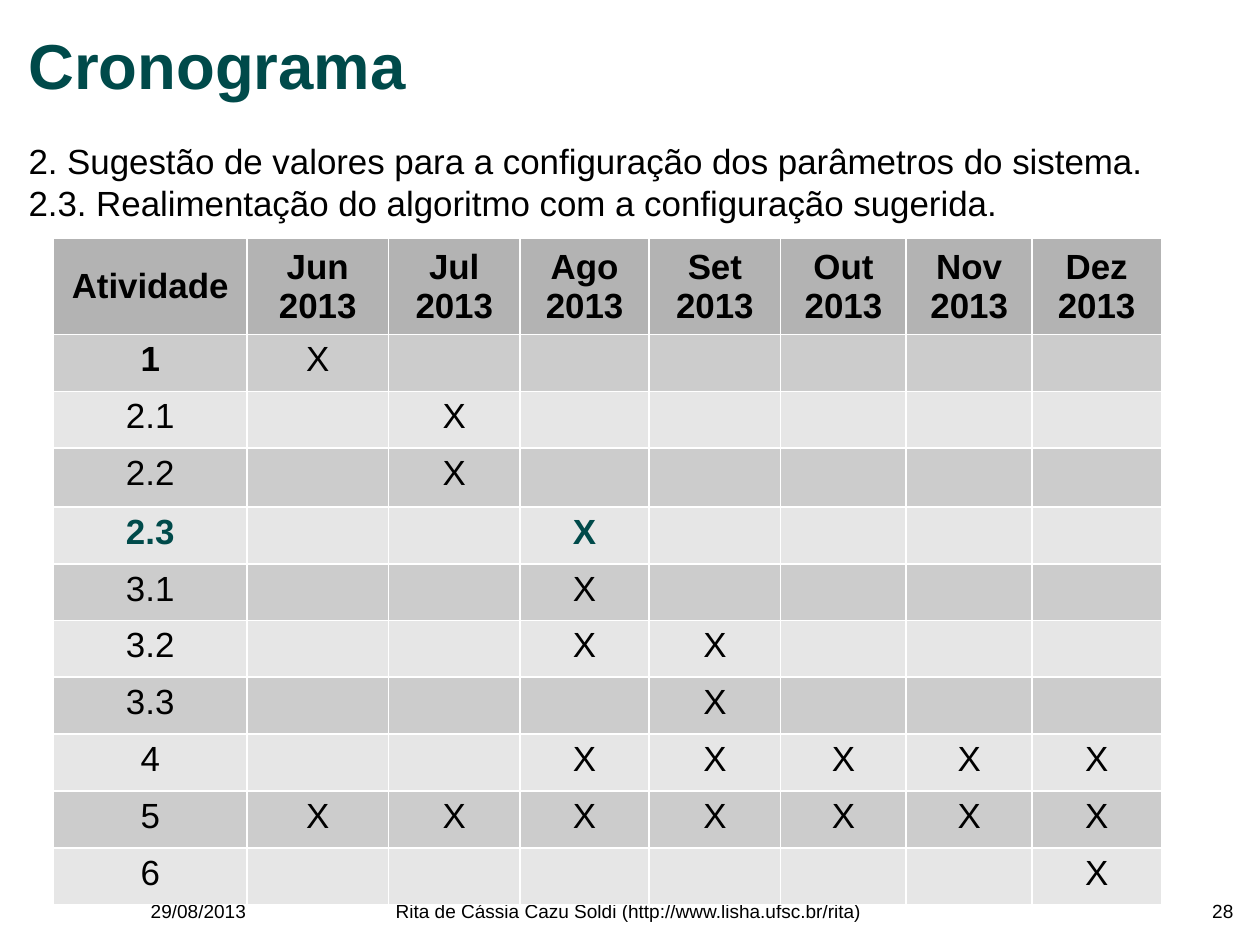
from lxml.etree import SubElement
from pptx import Presentation
from pptx.dml.color import RGBColor
from pptx.enum.text import MSO_ANCHOR, PP_ALIGN
from pptx.oxml.ns import qn
from pptx.util import Pt

BLACK = RGBColor(0x00, 0x00, 0x00)
TEAL = RGBColor(0x00, 0x4A, 0x4A)
WHITE = RGBColor(0xFF, 0xFF, 0xFF)
HEAD = RGBColor(0xB3, 0xB3, 0xB3)
DARK = RGBColor(0xCC, 0xCC, 0xCC)
LIGHT = RGBColor(0xE6, 0xE6, 0xE6)

MONTHS = ["Jun", "Jul", "Ago", "Set", "Out", "Nov", "Dez"]
PLAN = {
    "1": ["Jun"],
    "2.1": ["Jul"],
    "2.2": ["Jul"],
    "2.3": ["Ago"],
    "3.1": ["Ago"],
    "3.2": ["Ago", "Set"],
    "3.3": ["Set"],
    "4": ["Ago", "Set", "Out", "Nov", "Dez"],
    "5": MONTHS,
    "6": ["Dez"],
}
ACTIVE = "2.3"
WIDTHS = [121.7, 89.3, 82.8, 81.4, 82.8, 79.2, 79.2, 81.4]
HEIGHTS = [60.5, 35.8, 35.8, 37] + [35.8] * 7


def assign(target, values):
    """Set each attribute named in a dict."""
    for name, value in values.items():
        setattr(target, name, value)


def place(shape, box):
    """Move a shape into a box given in points."""
    sides = ("left", "top", "width", "height")
    assign(shape, dict(zip(sides, map(Pt, box))))


def write(frame, text, size, color=BLACK, bold=False, margins=(0, 0), **layout):
    """Fill a text frame and format every paragraph."""
    side, edge = map(Pt, margins)
    frame.text = text
    assign(frame, {"word_wrap": True, "margin_left": side, "margin_right": side,
                   "margin_top": edge, "margin_bottom": edge})
    for para in frame.paragraphs:
        assign(para, layout)
        assign(para.font, {"name": "Arial", "size": Pt(size), "bold": bold})
        para.font.color.rgb = color


def add_text(slide, box, text, size, **layout):
    """Add a text box in the given box."""
    frame = slide.shapes.add_textbox(*map(Pt, box)).text_frame
    write(frame, text, size, **layout)


def add_footer(slide, box):
    """Place date, author and page number in the footer band."""
    left, top, width, height = box
    side, middle = 210, 432
    parts = [
        (left, side, "29/08/2013", PP_ALIGN.CENTER),
        (left + 160, middle,
         "Rita de Cássia Cazu Soldi (http://www.lisha.ufsc.br/rita)", PP_ALIGN.CENTER),
        (left + width - side, side, "28", PP_ALIGN.RIGHT),
    ]
    for start, span, text, align in parts:
        add_text(slide, (start, top, span, height), text, 12, alignment=align)


def add_title(slide, box):
    """Format the title placeholder."""
    title = slide.shapes.title
    place(title, box)
    write(title.text_frame, "Cronograma", 40, TEAL, True,
          alignment=PP_ALIGN.LEFT, line_spacing=0.8)
    title.text_frame.vertical_anchor = MSO_ANCHOR.MIDDLE


def add_intro(slide, box):
    """Place the two lines that describe the activity."""
    add_text(
        slide, box,
        "2. Sugestão de valores para a configuração dos parâmetros do sistema.\n"
        "2.3. Realimentação do algoritmo com a configuração sugerida.", 22)


def add_rules(cell, sides):
    """Draw white rules on the given sides of a cell."""
    props = cell._tc.get_or_add_tcPr()
    for side in sides:
        line = SubElement(props, qn("a:ln" + side), w=str(Pt(1.19)))
        fill = SubElement(line, qn("a:solidFill"))
        SubElement(fill, qn("a:srgbClr"), val=str(WHITE))


def add_plan(slide, box):
    """Build the schedule table inside the box."""
    rows = [["Atividade"] + [month + "\n2013" for month in MONTHS]]
    for task, active in PLAN.items():
        rows.append([task] + ["X" if month in active else "" for month in MONTHS])
    table = slide.shapes.add_table(len(rows), len(WIDTHS), *map(Pt, box)).table
    assign(table, {"first_row": False, "horz_banding": False})
    for column, width in zip(table.columns, WIDTHS):
        column.width = Pt(width)
    for row, height in zip(table.rows, HEIGHTS):
        row.height = Pt(height)
    for r, row in enumerate(rows):
        shade = HEAD if r == 0 else DARK if r % 2 else LIGHT
        accent = row[0] == ACTIVE
        for c, text in enumerate(row):
            cell = table.cell(r, c)
            inner = {"L": c > 0, "R": c < len(row) - 1,
                     "T": r > 0, "B": r < len(rows) - 1}
            add_rules(cell, [side for side, shown in inner.items() if shown])
            cell.fill.solid()
            cell.fill.fore_color.rgb = shade
            assign(cell, {"margin_left": Pt(2.9), "margin_right": Pt(2.9),
                          "margin_top": Pt(3.6), "margin_bottom": Pt(3.6),
                          "vertical_anchor": MSO_ANCHOR.TOP if r else MSO_ANCHOR.MIDDLE})
            if text:
                write(cell.text_frame, text, 22, TEAL if accent else BLACK,
                      r == 0 or accent or text == "1", (2.9, 3.6),
                      alignment=PP_ALIGN.CENTER)


def main():
    """Build the schedule slide and save it."""
    deck = Presentation()
    assign(deck, {"slide_width": Pt(793.75), "slide_height": Pt(595.25)})
    slide = deck.slides.add_slide(deck.slide_layouts[5])
    add_footer(slide, (20, 566.6, 757, 15))
    add_title(slide, (18, 18, 666, 54))
    add_intro(slide, (18, 88, 756, 55))
    add_plan(slide, (33.8, 150.3, sum(WIDTHS), sum(HEIGHTS)))
    deck.save("out.pptx")


if __name__ == "__main__":
    main()
